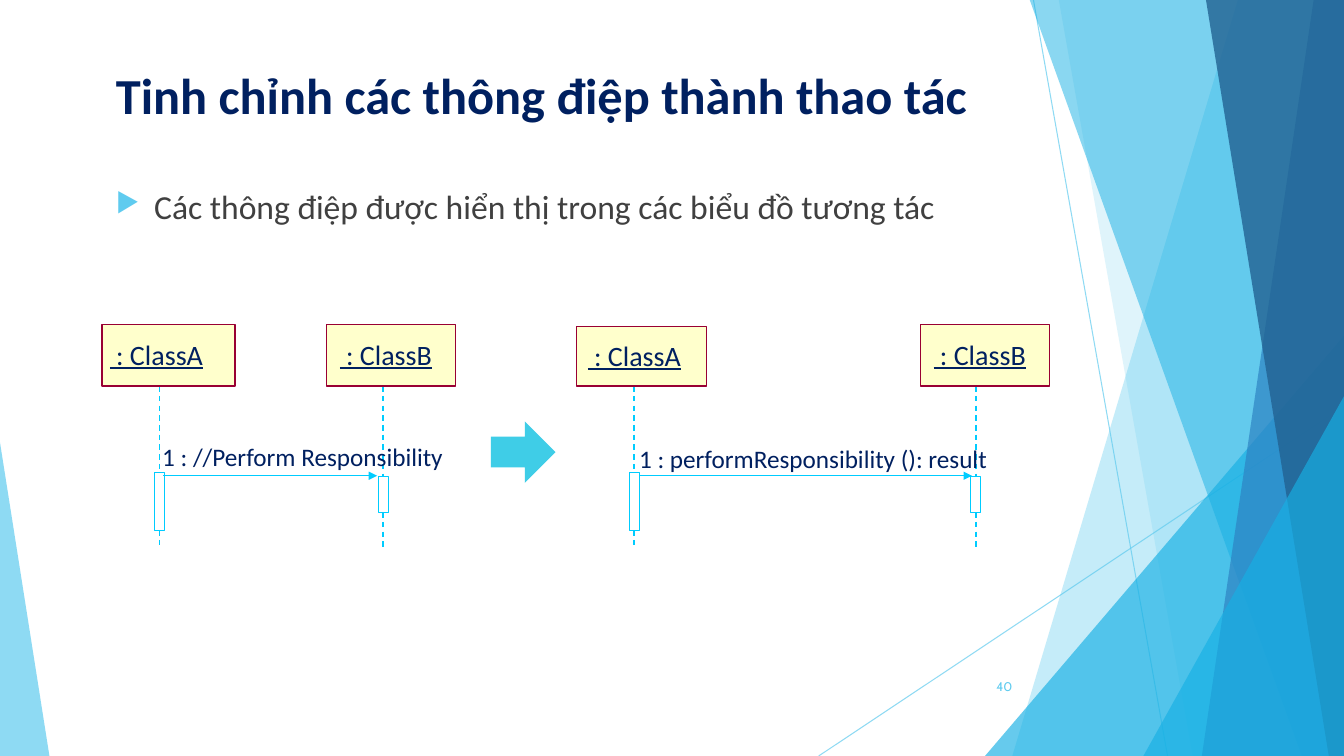
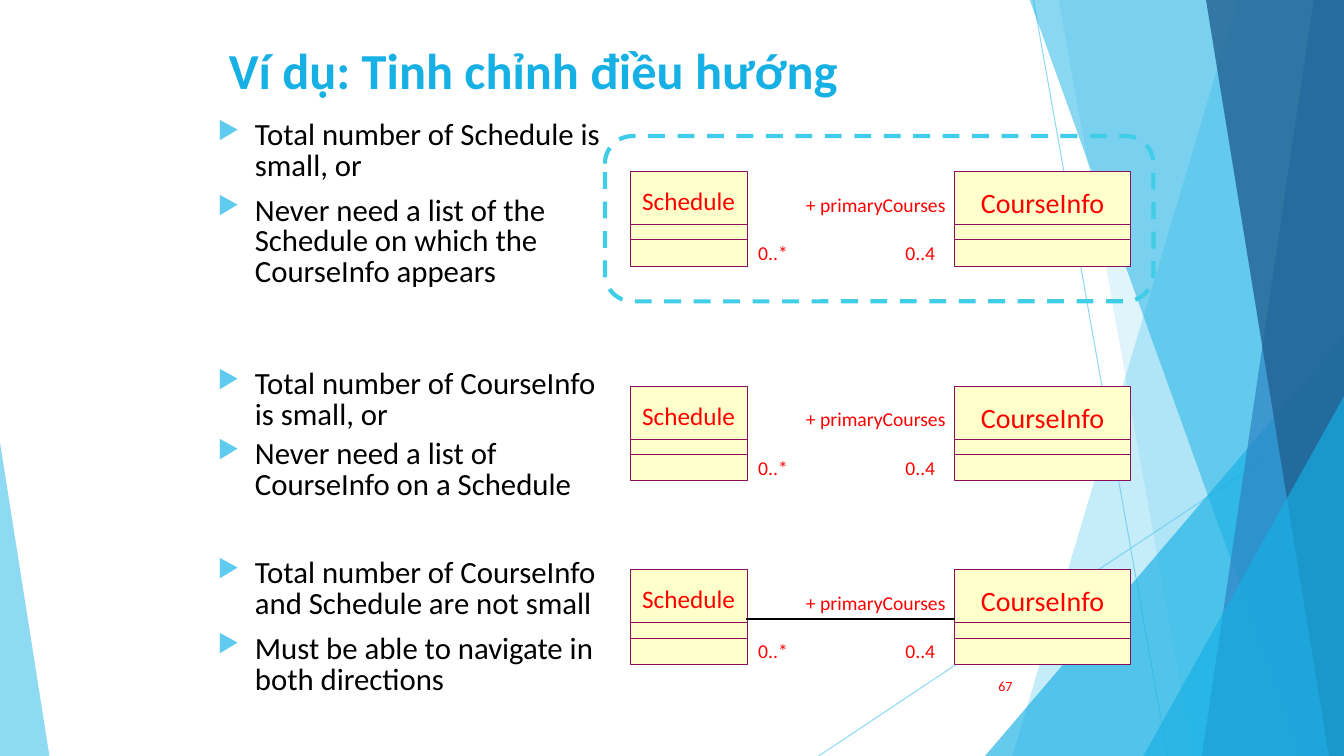
from lxml import etree
from pptx import Presentation
from pptx.dml.color import RGBColor
from pptx.enum.dml import MSO_LINE
from pptx.enum.shapes import MSO_CONNECTOR, MSO_SHAPE
from pptx.enum.text import MSO_ANCHOR as ANCHOR, PP_ALIGN as ALIGN
from pptx.oxml.ns import qn
from pptx.util import Inches, Pt

COLORS = {
    "sky": "5FCBEF", "azure": "17B0E4", "blue": "2E83C3", "deep": "226292",
    "navy": "002060", "gray": "404040", "black": "000000", "red": "FF0000",
    "cyan": "00CCFF", "turquoise": "3FCDE7", "cream": "FFFFCC",
    "crimson": "990033", "plum": "8A0E5E",
}
FONT = "Calibri"
TITLE_ONLY = 5


def rgb(name):
    return RGBColor.from_string(COLORS[name])


def add_child(parent, tag, **attributes):
    return etree.SubElement(parent, qn(tag), attributes)


def set_alpha(color_format, percent):
    """Make an RGB fill or line colour partly transparent."""
    fill = color_format.fill if hasattr(color_format, "fill") else color_format
    fill.fore_color  # the fill is already solid
    return percent


def fade(shape, percent):
    """Give the first colour of a shape the stated opacity."""
    color = next(shape.element.iter(qn("a:srgbClr")))
    add_child(color, "a:alpha", val=str(percent * 1000))


def style_shape(shape, fill=None, line=None, weight=0.75, dash=None):
    shape.shadow.inherit = False
    if fill:
        shape.fill.solid()
        shape.fill.fore_color.rgb = rgb(fill)
    else:
        shape.fill.background()
    if line:
        shape.line.color.rgb = rgb(line)
        shape.line.width = Pt(weight)
        if dash:
            shape.line.dash_style = dash
    else:
        shape.line.fill.background()


def add_box(shapes, kind, left, top, width, height, **style):
    shape = shapes.add_shape(kind, Inches(left), Inches(top), Inches(width), Inches(height))
    style_shape(shape, **style)
    return shape


def add_line(shapes, start, end, color, weight=0.75, dash=None, arrow=False):
    line = shapes.add_connector(
        MSO_CONNECTOR.STRAIGHT, *(Inches(value) for value in (*start, *end)))
    line.line.color.rgb = rgb(color)
    line.line.width = Pt(weight)
    if dash:
        line.line.dash_style = dash
    properties = line.element.spPr
    if arrow:
        add_child(properties.find(qn("a:ln")), "a:tailEnd", type="triangle")
    add_child(properties, "a:effectLst")
    return line


def add_run(paragraph, text, size, color, font=FONT, bold=False, underline=False):
    run = paragraph.add_run()
    run.text = text
    run.font.name = font
    run.font.size = Pt(size)
    run.font.bold = bold
    run.font.underline = underline
    run.font.color.rgb = rgb(color)


def write_text(shape, text, align=ALIGN.LEFT, anchor=ANCHOR.TOP,
               margins=(0.1, 0.05, 0.1, 0.05), wrap=True, **run_format):
    frame = shape.text_frame
    frame.word_wrap = wrap
    frame.vertical_anchor = anchor
    (frame.margin_left, frame.margin_top,
     frame.margin_right, frame.margin_bottom) = (Inches(margin) for margin in margins)
    paragraph = frame.paragraphs[0]
    paragraph.alignment = align
    add_run(paragraph, text, **run_format)


def add_label(slide, text, left, top, width, height, **text_format):
    box = slide.shapes.add_textbox(Inches(left), Inches(top), Inches(width), Inches(height))
    write_text(box, text, **text_format)


def add_bullets(slide, items, left, top, width, height, size, color, indent, line_pitch=None):
    """Add a bulleted list of (text, points before) items."""
    box = slide.shapes.add_textbox(Inches(left), Inches(top), Inches(width), Inches(height))
    frame = box.text_frame
    frame.word_wrap = True
    for index, (text, space_before) in enumerate(items):
        paragraph = frame.add_paragraph() if index else frame.paragraphs[0]
        properties = paragraph._p.get_or_add_pPr()
        properties.set("marL", str(Inches(indent)))
        properties.set("indent", str(-Inches(indent)))
        bullet_color = add_child(properties, "a:buClr")
        add_child(bullet_color, "a:srgbClr", val=COLORS["sky"])
        add_child(properties, "a:buSzPct", val="80000")
        add_child(properties, "a:buChar", char="▶")
        paragraph.space_before = Pt(space_before)
        if line_pitch:
            paragraph.line_spacing = Pt(line_pitch)
        add_run(paragraph, text, size, color)


def add_backdrop(presentation, slide):
    """Draw the facets as one group and move it to the slide master."""
    group = slide.shapes.add_group_shape()
    shapes = group.shapes

    def add_facet(top_left, bottom_left, color, opacity):
        builder = shapes.build_freeform(Inches(top_left), Inches(-0.01))
        corners = ((13.33, -0.01), (13.33, 7.5), (bottom_left, 7.5))
        builder.add_line_segments([(Inches(x), Inches(y)) for x, y in corners])
        facet = builder.convert_to_shape()
        style_shape(facet, fill=color)
        fade(facet, opacity)

    def add_corner(left, top, width, apex, color, opacity):
        corner = add_box(shapes, MSO_SHAPE.ISOSCELES_TRIANGLE,
                         left, top, width, 7.5 - top, fill=color)
        corner.adjustments[0] = apex
        fade(corner, opacity)

    for start, end in (((10.25, 0), (11.58, 7.5)), ((13.33, 4.03), (8.12, 7.5))):
        fade(add_line(shapes, start, end, "sky"), 70)
    add_facet(12.28, 10.04, "sky", 36)
    add_facet(10.5, 11.83, "sky", 20)
    add_corner(9.77, 3.33, 3.56, 1, "azure", 66)
    add_facet(10.21, 12.91, "azure", 50)
    add_facet(13.03, 11.92, "blue", 70)
    add_facet(11.96, 13.18, "deep", 80)
    add_corner(11.34, 3.93, 1.99, 1, "azure", 66)
    add_corner(0, 4.39, 0.49, 0, "sky", 70)
    presentation.slide_master.shapes.element.insert(2, group.element)


def set_title(slide, text, left, top, width, height, color, anchor):
    title = slide.shapes.title
    title.left, title.top, title.width, title.height = (
        Inches(value) for value in (left, top, width, height))
    write_text(title, text, anchor=anchor, size=36, color=color, bold=True)


def add_slide_number(slide, number, **run_format):
    add_label(slide, number, 9.39, 6.61, 0.75, 0.4,
              align=ALIGN.RIGHT, anchor=ANCHOR.MIDDLE, **run_format)


def add_lifeline(slide, name, left, top, width, axis, text_inset, active_top, active_height):
    """Add a sequence-diagram object with its dashed line and activation bar."""
    shapes = slide.shapes
    bottom = 3.83
    active_bottom = active_top + active_height
    for start, end in ((bottom, active_top), (active_bottom, 5.44)):
        add_line(shapes, (axis, start), (axis, end), "cyan", 1, MSO_LINE.DASH)
    add_box(shapes, MSO_SHAPE.RECTANGLE, axis - 0.05, active_top, 0.1, active_height,
            line="cyan")
    box = add_box(shapes, MSO_SHAPE.RECTANGLE, left, top, width, bottom - top,
                  fill="cream", line="crimson", weight=1)
    write_text(box, name, anchor=ANCHOR.MIDDLE, margins=(text_inset, 0, 0, 0.03),
               wrap=False, size=20, color="navy", underline=True)


def add_message(slide, text, start, end, label_left, label_top, label_width):
    add_line(slide.shapes, (start, 4.72), (end, 4.72), "cyan", 1, arrow=True)
    add_label(slide, text, label_left, label_top, label_width, 0.4,
              wrap=False, size=18, color="navy")


def add_class(slide, name, left, top, width, size):
    box = add_box(slide.shapes, MSO_SHAPE.RECTANGLE, left, top, width, 0.94,
                  fill="cream", line="plum")
    write_text(box, name, align=ALIGN.CENTER, margins=(0, 0.14, 0, 0),
               wrap=False, size=size, color="red")
    for offset in (0.53, 0.68):
        add_line(slide.shapes, (left, top + offset), (left + width, top + offset), "plum")


def add_association(slide, top):
    """Add the two classes of one association with role and multiplicities."""
    add_class(slide, "Schedule", 6.25, top, 1.16, 18)
    add_class(slide, "CourseInfo", 9.47, top, 1.74, 20)
    label_format = dict(margins=(0, 0, 0, 0), wrap=False, size=14, color="red")
    add_label(slide, "0..*", 7.52, top + 0.69, 0.3, 0.24, **label_format)
    add_label(slide, "0..4", 8.98, top + 0.69, 0.3, 0.24, **label_format)
    add_label(slide, "+ primaryCourses", 7.72, top + 0.21, 1.66, 0.24,
              align=ALIGN.RIGHT, **label_format)


def build_operations_slide(slide):
    set_title(slide, "Tinh chỉnh các thông điệp thành thao tác",
              1.05, 0.59, 9.4, 0.9, "navy", ANCHOR.TOP)
    add_bullets(slide, [("Các thông điệp được hiển thị trong các biểu đồ tương tác", 0)],
                1.05, 1.8, 9.28, 0.6, size=24, color="gray", indent=0.38)
    caller, receiver = (4.69, 0.57), (4.73, 0.35)
    for name, left, top, width, axis, text_inset, active in (
            (" : ClassA", 1.01, 3.22, 1.32, 1.58, 0.08, caller),
            (" : ClassB", 3.24, 3.22, 1.28, 3.8, 0.13, receiver),
            (" : ClassA", 5.72, 3.24, 1.29, 6.29, 0.11, caller),
            (" : ClassB", 9.13, 3.22, 1.28, 9.68, 0.13, receiver)):
        add_lifeline(slide, name, left, top, width, axis, text_inset, *active)
    add_message(slide, "1 : //Perform Responsibility", 1.62, 3.74, 1.51, 4.33, 3.02)
    add_message(slide, "1 : performResponsibility (): result", 6.34, 9.64, 6.24, 4.35, 3.7)
    add_box(slide.shapes, MSO_SHAPE.RIGHT_ARROW, 4.87, 4.18, 0.64, 0.61, fill="turquoise")
    add_slide_number(slide, "40", size=9, color="sky", font="Cabin")


def build_navigability_slide(slide):
    set_title(slide, "Ví dụ: Tinh chỉnh điều hướng",
              2.17, 0.3, 9, 0.77, "azure", ANCHOR.MIDDLE)
    add_bullets(slide, [
        ("Total number of Schedule is small, or", 0),
        ("Never need a list of the Schedule on which the CourseInfo appears", 10),
        ("Total number of CourseInfo is small, or", 58),
        ("Never need a list of CourseInfo on a Schedule", 6),
        ("Total number of CourseInfo and Schedule are not small", 41),
        ("Must be able to navigate in both directions", 10),
    ], 2.06, 1.15, 4.08, 6.08, size=22, color="black", indent=0.37, line_pitch=22)
    add_slide_number(slide, "67", size=10, color="red")
    add_box(slide.shapes, MSO_SHAPE.ROUNDED_RECTANGLE, 6, 1.35, 5.44, 1.64,
            line="turquoise", weight=3, dash=MSO_LINE.DASH)
    for top in (1.7, 3.83, 5.65):
        add_association(slide, top)
    add_line(slide.shapes, (7.4, 6.14), (9.47, 6.14), "black", 1)


def main():
    presentation = Presentation()
    presentation.slide_width, presentation.slide_height = Inches(13.33), Inches(7.5)
    layout = presentation.slide_layouts[TITLE_ONLY]
    for index, build in enumerate((build_operations_slide, build_navigability_slide)):
        slide = presentation.slides.add_slide(layout)
        if index == 0:
            add_backdrop(presentation, slide)
        build(slide)
    presentation.save("out.pptx")


if __name__ == "__main__":
    main()
